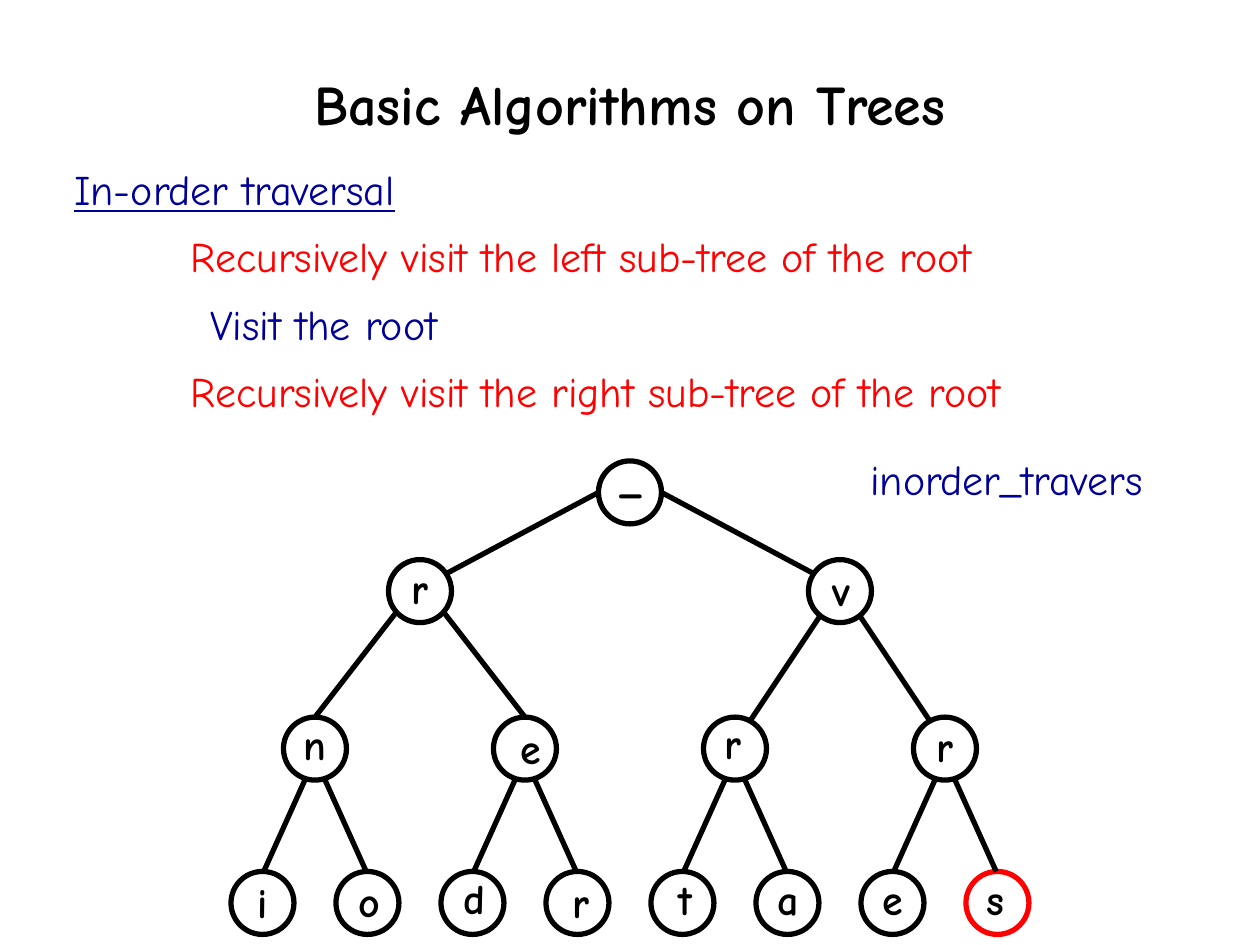
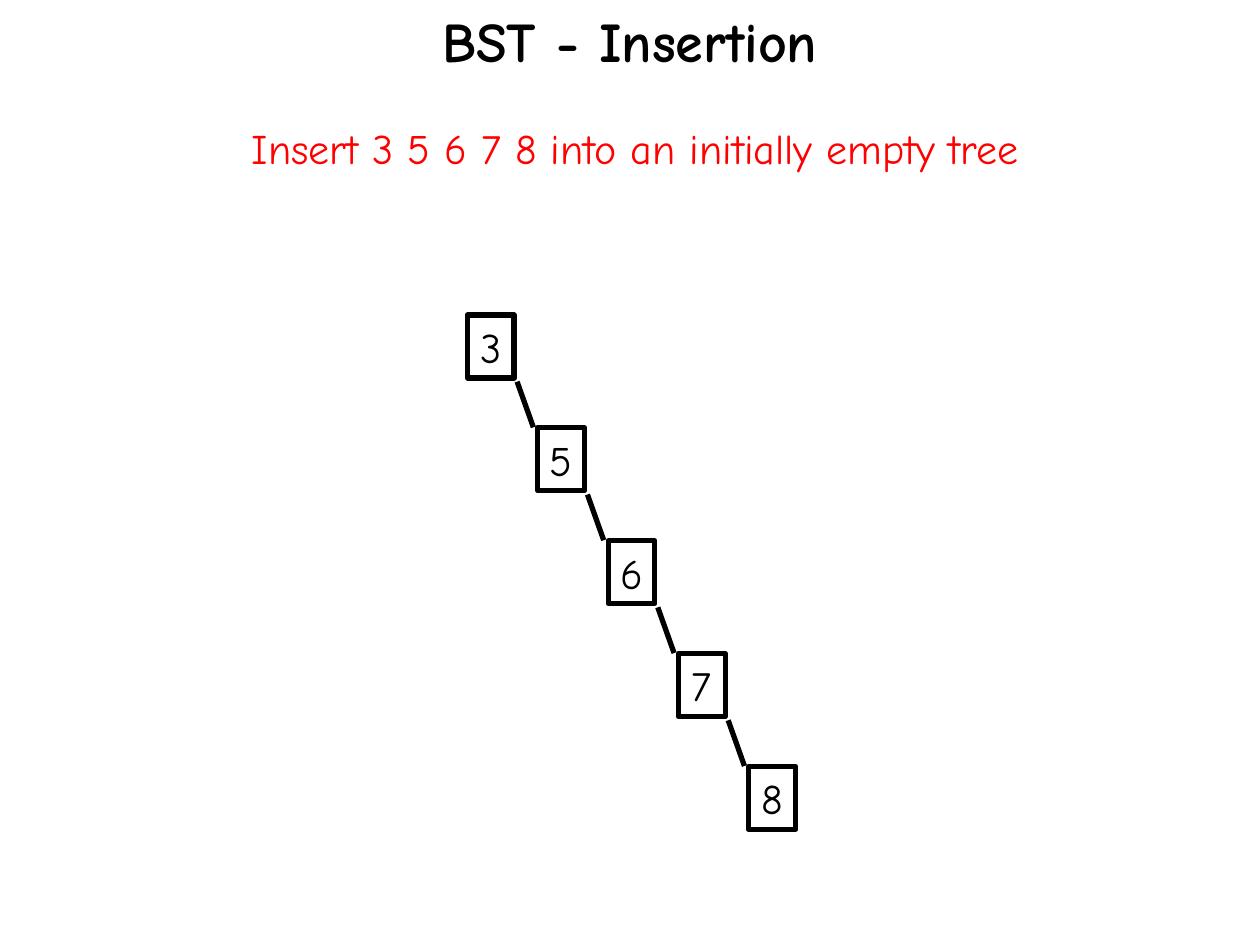
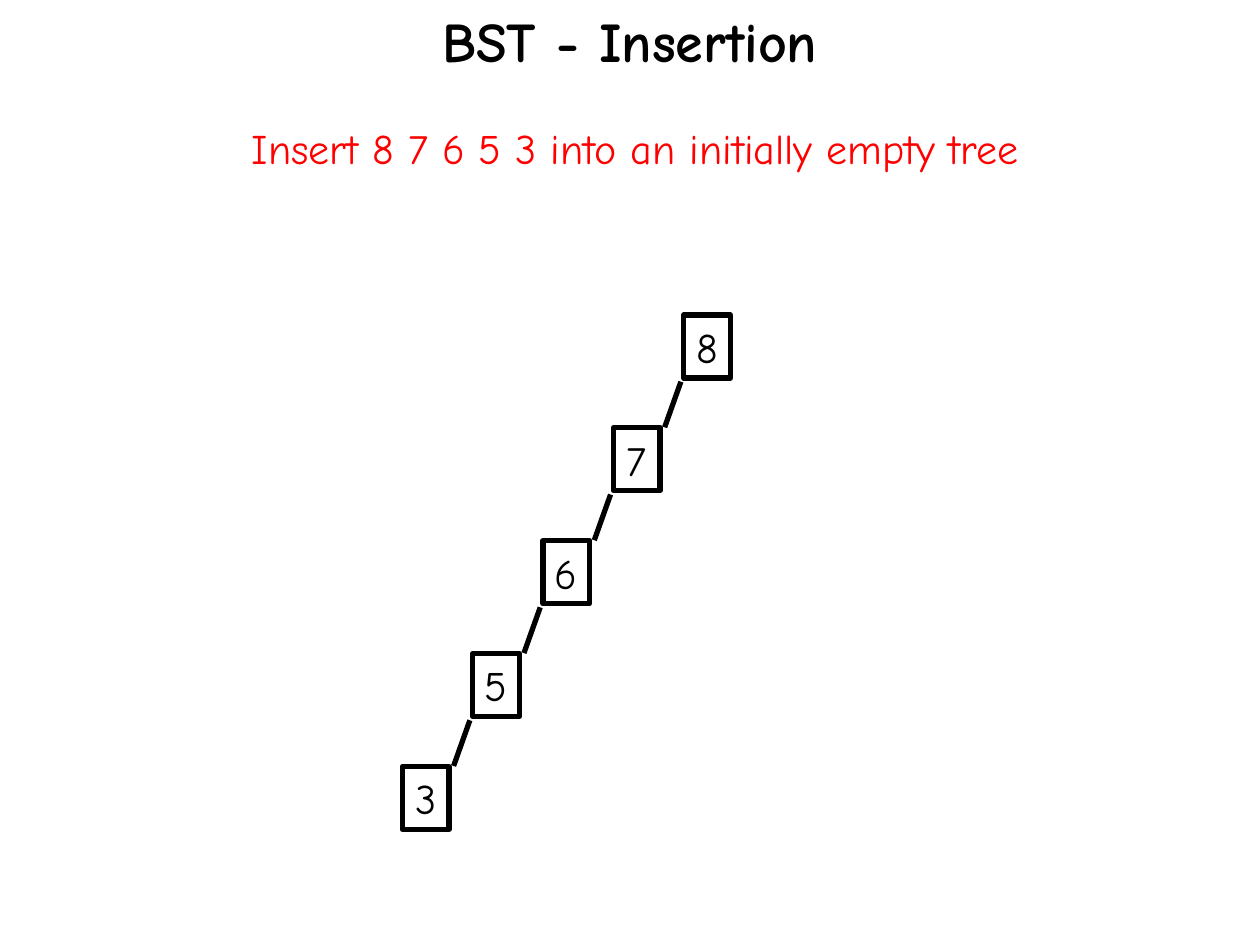
import dataclasses
import typing

import pptx
import pptx.dml.color
import pptx.enum.shapes
import pptx.enum.text
import pptx.oxml
import pptx.oxml.ns
import pptx.slide
import pptx.util

WIDTH = pptx.util.Inches(10)
HEIGHT = pptx.util.Inches(7.5)
COL = WIDTH / 24
ROW = HEIGHT / 18

BLACK = pptx.dml.color.RGBColor(0x00, 0x00, 0x00)
BLUE = pptx.dml.color.RGBColor(0x00, 0x00, 0x99)
RED = pptx.dml.color.RGBColor(0xFF, 0x00, 0x00)
FONT = "Comic Neue"
STROKE = pptx.util.Pt(3)

OVAL = pptx.enum.shapes.MSO_SHAPE.OVAL
BOX = pptx.enum.shapes.MSO_SHAPE.RECTANGLE
LEFT = pptx.enum.text.PP_ALIGN.LEFT
CENTER = pptx.enum.text.PP_ALIGN.CENTER

DISC = 1.2
LINE = 1.2
BADGE = 0.85
CELL = 0.89
LEVELS = (9.38, 11.26, 14.26, 17.2)


class Point(typing.NamedTuple):
    col: float
    row: float

    def shift(self, col: float, row: float) -> "Point":
        return Point(self.col + col, self.row + row)


@dataclasses.dataclass(frozen=True)
class Style:
    size: int = 24
    color: pptx.dml.color.RGBColor = BLACK
    bold: bool = False
    under: bool = False
    align: pptx.enum.text.PP_ALIGN = LEFT
    wrap: bool = False


@dataclasses.dataclass(frozen=True)
class Label:
    text: str
    col: float
    row: float
    width: float
    style: Style


class Node(typing.NamedTuple):
    text: str
    right: float
    down: float
    color: pptx.dml.color.RGBColor = BLACK


class Joint(typing.NamedTuple):
    out: Point
    into: Point


@dataclasses.dataclass(frozen=True)
class Chain:
    keys: str
    col: float
    side: int


TITLE = Style(size=32, bold=True, align=CENTER)
LETTER = Style(bold=True, align=CENTER)
DIGIT = Style(align=CENTER)
HEADING = Style(color=BLUE, under=True)
STEP = Style(color=RED, wrap=True)
TASK = Style(color=RED)
NOTE = Style(color=BLUE)

LABELS = (
    Label("In-order traversal", 1.18, 3, 6.62, HEADING),
    Label("Recursively visit the left sub-tree of the root", 3.4, 4.27, 18.6, STEP),
    Label("Visit the root", 3.77, 5.57, 4.82, NOTE),
    Label("Recursively visit the right sub-tree of the root", 3.4, 6.84, 18.6, STEP),
    Label("inorder_travers", 16.34, 8.52, 5.71, NOTE),
)

NODES = (
    Node("_", 0, -0.2),
    Node("r", 0, -0.06),
    Node("v", 0.02, -0.02),
    Node("n", -0.02, -0.08),
    Node("e", 0.08, -0.02),
    Node("r", -0.04, -0.1),
    Node("r", 0, -0.04),
    Node("i", 0, -0.02),
    Node("o", 0.02, -0.04),
    Node("d", 0.02, -0.08),
    Node("r", 0.06, -0.02),
    Node("t", 0.04, -0.06),
    Node("a", 0, -0.06),
    Node("e", 0, -0.06),
    Node("s", -0.04, -0.06, RED),
)

WIDE = Joint(Point(0.5, 0), Point(0.42, -0.28))
TOP = Joint(Point(0.38, 0.34), Point(0, -0.5))
SLANT = Joint(Point(0.32, 0.4), Point(0.24, -0.44))
LEAF = Joint(Point(0.16, 0.5), Point(0.02, -0.5))
JOINTS = [WIDE] * 2 + [TOP] * 2 + [SLANT] * 2 + [LEAF] * 8

CHAINS = (Chain("35678", 9.35, 1), Chain("87653", 13.47, -1))
CHAIN_TOP = 6.6
CHAIN_STEP = Point(1.34, 2.15)
CHAIN_OUT = Point(0.5, 0.67)
CHAIN_INTO = Point(0.81, 1.54)


def place(col: float, row: float, width: float, height: float) -> tuple[int, ...]:
    return round(col * COL), round(row * ROW), round(width * COL), round(height * ROW)


def around(mid: Point, width: float, height: float) -> tuple[int, ...]:
    return place(mid.col - width / 2, mid.row - height / 2, width, height)


def fill_text(frame: typing.Any, text: str, style: Style) -> None:
    frame.word_wrap = style.wrap
    para = frame.paragraphs[0]
    para.text = text
    para.alignment = style.align
    font = para.font
    font.name = FONT
    font.size = pptx.util.Pt(style.size)
    font.bold = style.bold
    font.underline = style.under
    font.color.rgb = style.color


def write(slide: pptx.slide.Slide, label: Label, height: float = LINE) -> None:
    area = place(label.col, label.row, label.width, height)
    box = slide.shapes.add_textbox(*area)
    fill_text(box.text_frame, label.text, label.style)


def head(slide: pptx.slide.Slide, text: str, row: float, width: float) -> None:
    write(slide, Label(text, 12 - width / 2, row, width, TITLE), 1.54)


def frame(
    slide: pptx.slide.Slide,
    kind: pptx.enum.shapes.MSO_SHAPE,
    mid: Point,
    width: float,
    color: pptx.dml.color.RGBColor = BLACK,
) -> typing.Any:
    shape = slide.shapes.add_shape(kind, *around(mid, width, DISC))
    shape.shadow.inherit = False
    shape.fill.background()
    shape.line.color.rgb = color
    shape.line.width = STROKE
    return shape


def link(slide: pptx.slide.Slide, start: Point, end: Point) -> None:
    ends = [round(v) for p in (start, end) for v in (p.col * COL, p.row * ROW)]
    edge = slide.shapes.add_connector(pptx.enum.shapes.MSO_CONNECTOR.STRAIGHT, *ends)
    edge.line.color.rgb = BLACK
    edge.line.width = STROKE
    tag = pptx.oxml.ns.nsdecls("a")
    edge._element.spPr.append(pptx.oxml.parse_xml(f"<a:effectLst {tag}/>"))


def spot(index: int) -> Point:
    depth = (index + 1).bit_length() - 1
    order = index + 1 - 2**depth
    return Point(4 + (8 + 16 * order) / 2**depth, LEVELS[depth])


def draw_tree(slide: pptx.slide.Slide) -> None:
    for index, node in enumerate(NODES):
        mid = spot(index)
        frame(slide, OVAL, mid, DISC, node.color)
        mid = mid.shift(node.right * DISC, node.down * DISC)
        area = around(mid, BADGE, LINE)
        fill_text(slide.shapes.add_textbox(*area).text_frame, node.text, LETTER)
    for child, joint in enumerate(JOINTS, 1):
        side = -DISC if child % 2 else DISC
        start = spot((child - 1) // 2).shift(side * joint.out.col, DISC * joint.out.row)
        end = spot(child).shift(-side * joint.into.col, DISC * joint.into.row)
        link(slide, start, end)


def draw_chain(slide: pptx.slide.Slide, chain: Chain) -> None:
    mid = Point(chain.col, CHAIN_TOP)
    for index, key in enumerate(chain.keys):
        if index:
            start = mid.shift(chain.side * CHAIN_OUT.col, CHAIN_OUT.row)
            end = mid.shift(chain.side * CHAIN_INTO.col, CHAIN_INTO.row)
            link(slide, start, end)
            mid = mid.shift(chain.side * CHAIN_STEP.col, CHAIN_STEP.row)
        fill_text(frame(slide, BOX, mid, CELL).text_frame, key, DIGIT)


def main() -> None:
    deck = pptx.Presentation()
    deck.slide_width = WIDTH
    deck.slide_height = HEIGHT
    blank = deck.slide_layouts[6]

    slide = deck.slides.add_slide(blank)
    head(slide, "Basic Algorithms on Trees", 1.2, 12.53)
    for label in LABELS:
        write(slide, label)
    draw_tree(slide)

    for chain in CHAINS:
        slide = deck.slides.add_slide(blank)
        head(slide, "BST - Insertion", 0, 7.63)
        task = f"Insert {' '.join(chain.keys)} into an initially empty tree"
        write(slide, Label(task, 4.56, 2.21, 15.14, TASK))
        draw_chain(slide, chain)

    deck.save("out.pptx")


if __name__ == "__main__":
    main()
